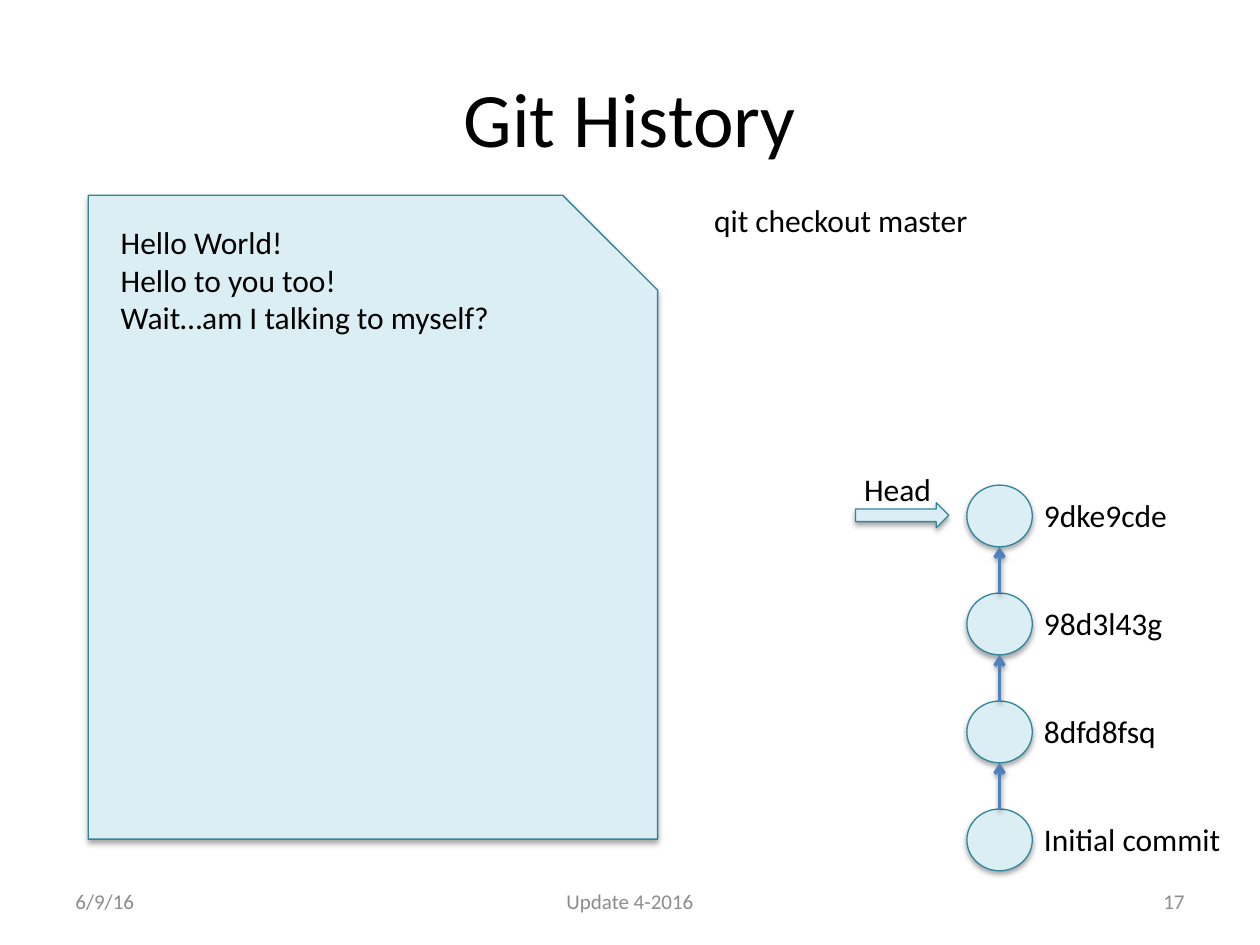
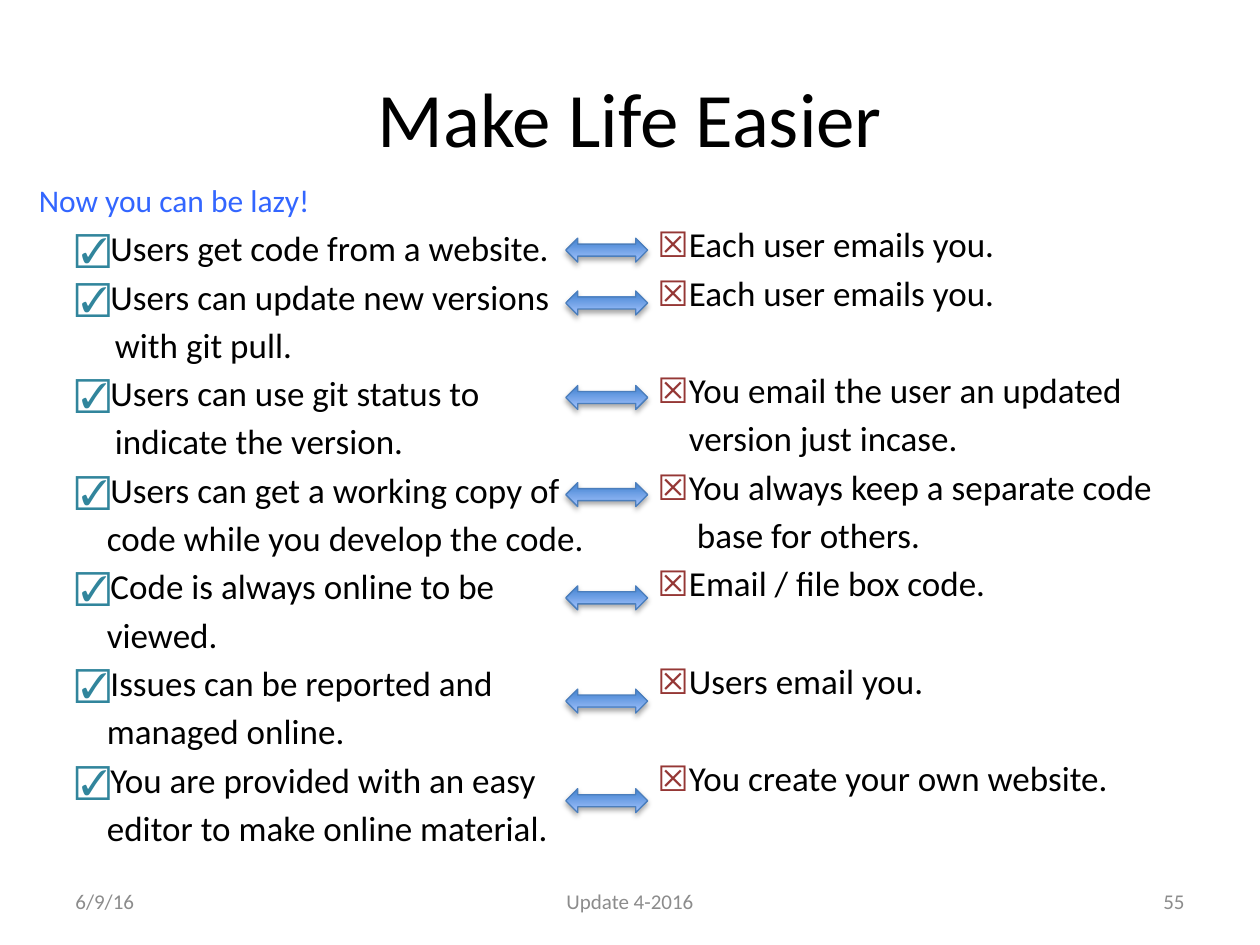
from lxml import etree
from pptx import Presentation
from pptx.dml.color import RGBColor
from pptx.enum.shapes import MSO_CONNECTOR, MSO_SHAPE
from pptx.enum.text import MSO_ANCHOR, PP_ALIGN
from pptx.oxml.ns import qn
from pptx.util import Pt

LEFT, CENTER, RIGHT = PP_ALIGN.LEFT, PP_ALIGN.CENTER, PP_ALIGN.RIGHT
TOP, MIDDLE = MSO_ANCHOR.TOP, MSO_ANCHOR.MIDDLE
STRAIGHT = MSO_CONNECTOR.STRAIGHT
CIRCLE = MSO_SHAPE.FLOWCHART_CONNECTOR
PAGE = MSO_SHAPE.SNIP_1_RECTANGLE
RIGHT_ARROW = MSO_SHAPE.RIGHT_ARROW
DOUBLE_ARROW = MSO_SHAPE.LEFT_RIGHT_ARROW

COLORS = {
    "text": "000000", "footer": "8C8C8C", "note": "3366FF",
    "pale": "DBEEF4", "teal": "31859C", "red": "953735",
    "connector": "4F81BD", "arrow_line": "4B7EBC",
    "arrow_dark": "3F80CE", "arrow_light": "A4C4FF", "shadow": "000000",
}
FONT, SYMBOL_FONT = "Calibri", "Arial"
LINE_PITCH, LINE_GAP = 28, 3.6
INDENT, DEEP_INDENT = 18, 22.6


def color(name):
    return RGBColor.from_string(COLORS[name])


class Deck:
    def __init__(self):
        self.presentation = Presentation()
        self.presentation.slide_width = Pt(720)
        self.presentation.slide_height = Pt(540)
        self.slide = None

    def add_slide(self, title, number):
        layout = self.presentation.slide_layouts[6]
        self.slide = self.presentation.slides.add_slide(layout)
        self.text([title], 36, 21.6, 648, 90, 44, align=CENTER, anchor=MIDDLE)
        for words, left, width, align in (
            ("6/9/16", 36, 168, LEFT),
            ("Update 4-2016", 246, 228, CENTER),
            (number, 516, 168, RIGHT),
        ):
            self.text([words], left, 500.4, width, 28.8, 12, "footer", align, MIDDLE)

    def frame(self, left, top, width, height, anchor=TOP):
        box = self.slide.shapes.add_textbox(Pt(left), Pt(top), Pt(width), Pt(height))
        box.text_frame.word_wrap = True
        box.text_frame.vertical_anchor = anchor
        return box.text_frame

    def paragraph(self, frame, index, size, color_name="text"):
        paragraph = frame.add_paragraph() if index else frame.paragraphs[0]
        paragraph.font.size = Pt(size)
        paragraph.font.name = FONT
        paragraph.font.color.rgb = color(color_name)
        return paragraph

    def text(self, lines, left, top, width, height=28.8, size=18,
             color_name="text", align=LEFT, anchor=TOP):
        frame = self.frame(left, top, width, height, anchor)
        for index, line in enumerate(lines):
            paragraph = self.paragraph(frame, index, size, color_name)
            paragraph.text = line
            paragraph.alignment = align

    def checklist(self, symbol, symbol_color, items, left, top):
        frame = self.frame(left, top, 317.5, 356.4)
        for index, (line, indent, skipped_lines) in enumerate(items):
            paragraph = self.paragraph(frame, index, 20)
            paragraph.space_before = Pt(LINE_GAP + skipped_lines * LINE_PITCH)
            if indent:
                paragraph._p.get_or_add_pPr().set("marL", str(Pt(indent)))
            else:
                mark = paragraph.add_run()
                mark.text = symbol
                mark.font.name = SYMBOL_FONT
                mark.font.color.rgb = color(symbol_color)
            paragraph.add_run().text = line

    def shadow(self, shape, distance=1.8, opacity=35):
        properties = shape._element.spPr
        for old in properties.findall(qn("a:effectLst")):
            properties.remove(old)
        effects = etree.SubElement(properties, qn("a:effectLst"))
        outer = etree.SubElement(
            effects, qn("a:outerShdw"), blurRad=str(Pt(3.1)),
            dist=str(Pt(distance)), dir="5400000", rotWithShape="0")
        tint = etree.SubElement(outer, qn("a:srgbClr"), val=COLORS["shadow"])
        etree.SubElement(tint, qn("a:alpha"), val=str(opacity * 1000))

    def shape(self, kind, left, top, width, height, line="teal"):
        shape = self.slide.shapes.add_shape(
            kind, Pt(left), Pt(top), Pt(width), Pt(height))
        shape.fill.solid()
        shape.fill.fore_color.rgb = color("pale")
        shape.line.color.rgb = color(line)
        shape.line.width = Pt(0.75)
        self.shadow(shape)
        return shape

    def double_arrow(self, left, top):
        arrow = self.shape(DOUBLE_ARROW, left, top, 46.8, 13.7, "arrow_line")
        arrow.fill.gradient()
        arrow.fill.gradient_angle = 90
        for stop, name in zip(arrow.fill.gradient_stops, ("arrow_dark", "arrow_light")):
            stop.color.rgb = color(name)
        arrow._element.spPr.xfrm.set("flipV", "1")

    def link_up(self, lower, upper):
        middle = upper.left + upper.width // 2
        connector = self.slide.shapes.add_connector(
            STRAIGHT, middle, lower.top, middle, upper.top + upper.height)
        connector.begin_connect(lower, 0)
        connector.line.color.rgb = color("connector")
        connector.line.width = Pt(2)
        etree.SubElement(connector.line._get_or_add_ln(), qn("a:tailEnd"), type="arrow")
        self.shadow(connector, 1.6, 38)


def build_history(deck):
    deck.add_slide("Git History", "17")
    deck.shape(PAGE, 50.4, 111.6, 325.4, 367.9)
    deck.text(["Hello World!", "Hello to you too!", "Wait…am I talking to myself?"],
              61.9, 123.8, 267.8, 72.7)
    deck.text(["qit checkout master"], 401, 111.6, 180)
    deck.shape(RIGHT_ARROW, 488.9, 287.3, 53.3, 14.4)
    deck.text(["Head"], 486.7, 265, 60)

    newer = None
    for index, commit in enumerate(("9dke9cde", "98d3l43g", "8dfd8fsq", "Initial commit")):
        top = 277.2 + index * 61.7
        circle = deck.shape(CIRCLE, 552.5, top, 37.4, 35.3)
        deck.text([commit], 589.5, top + 2.7, 130)
        if newer:
            deck.link_up(circle, newer)
        newer = circle


def build_benefits(deck):
    deck.add_slide("Make Life Easier", "55")
    deck.text(["Now you can be lazy!"], 15.1, 100.1, 200, color_name="note")
    deck.checklist("☑", "teal", [
        ("Users get code from a website.", 0, 0),
        ("Users can update new versions", 0, 0),
        ("with git pull.", DEEP_INDENT, 0),
        ("Users can use git status to", 0, 0),
        ("indicate the version.", DEEP_INDENT, 0),
        ("Users can get a working copy of", 0, 0),
        ("code while you develop the code.", INDENT, 0),
        ("Code is always online to be", 0, 0),
        ("viewed.", INDENT, 0),
        ("Issues can be reported and", 0, 0),
        ("managed online.", INDENT, 0),
        ("You are provided with an easy", 0, 0),
        ("editor to make online material.", INDENT, 0),
    ], 36, 126)
    deck.checklist("☒", "red", [
        ("Each user emails you.", 0, 0),
        ("Each user emails you.", 0, 0),
        ("You email the user an updated", 0, 1),
        ("version just incase.", INDENT, 0),
        ("You always keep a separate code", 0, 0),
        ("base for others.", DEEP_INDENT, 0),
        ("Email / file box code.", 0, 0),
        ("Users email you.", 0, 1),
        ("You create your own website.", 0, 1),
    ], 368.6, 123.8)
    for top in (136.1, 166.3, 220.3, 275.8, 334.8, 393.8, 450.7):
        deck.double_arrow(323.3, top)


def main():
    deck = Deck()
    build_history(deck)
    build_benefits(deck)
    deck.presentation.save("out.pptx")


if __name__ == "__main__":
    main()
